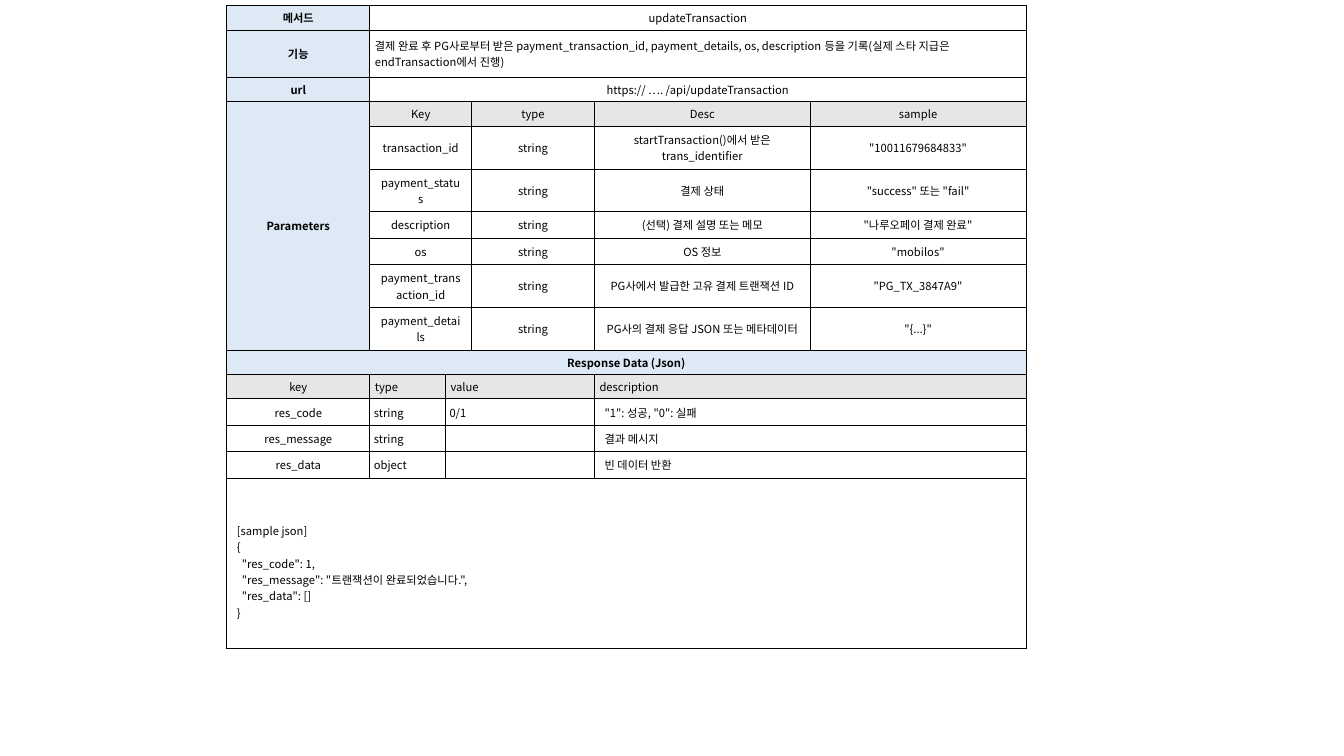
from lxml import etree
from pptx import Presentation
from pptx.dml.color import RGBColor
from pptx.enum import text
from pptx.oxml import ns
from pptx.util import Pt

FONT = "Noto Sans CJK KR"
BLACK = RGBColor(0x00, 0x00, 0x00)
WHITE = RGBColor(0xFF, 0xFF, 0xFF)
BLUE = RGBColor(0xDD, 0xEA, 0xF6)
GRAY = RGBColor(0xE7, 0xE6, 0xE6)
LEFT, CENTER = text.PP_ALIGN.LEFT, text.PP_ALIGN.CENTER

# Cell margins in points: horizontal, vertical
HEADING, VALUE, ROOMY = (3.6, 2.9), (2.9, 1.4), (7.2, 3.6)

COLUMN_WIDTHS = [102.2, 54, 18.7, 87.8, 154.1, 154.1]
ROW_HEIGHTS = [14.4, 33.8] + [14.4] * 11 + [18.7, 14.4, 121.7]

SUMMARY = [
    ("메서드", "updateTransaction", CENTER),
    ("기능", "결제 완료 후 PG사로부터 받은 payment_transaction_id, payment_details, os, "
     "description 등을 기록(실제 스타 지급은 endTransaction에서 진행)", LEFT),
    ("url", "https:// …. /api/updateTransaction", CENTER),
]
PARAMETERS = [
    ("Key", "type", "Desc", "sample"),
    ("transaction_id", "string", "startTransaction()에서 받은 trans_identifier",
     '"10011679684833"'),
    ("payment_status", "string", "결제 상태", '"success" 또는 "fail"'),
    ("description", "string", "(선택) 결제 설명 또는 메모", '"나루오페이 결제 완료"'),
    ("os", "string", "OS 정보", '"mobilos"'),
    ("payment_transaction_id", "string", "PG사에서 발급한 고유 결제 트랜잭션 ID",
     '"PG_TX_3847A9"'),
    ("payment_details", "string", "PG사의 결제 응답 JSON 또는 메타데이터", '"{...}"'),
]
RESPONSE = [
    ("key", "type", "value", "description"),
    ("res_code", "string", "0/1", '"1": 성공, "0": 실패'),
    ("res_message", "string", "", "결과 메시지"),
    ("res_data", "object", "", "빈 데이터 반환"),
]
# Text and whether the line is indented
SAMPLE = [
    ("[sample json]", False),
    ("{", False),
    ('"res_code": 1,', True),
    ('"res_message": "트랜잭션이 완료되었습니다.",', True),
    ('"res_data": []', True),
    ("}", False),
]


def add_borders(cell):
    properties = cell._tc.get_or_add_tcPr()
    for side in ("lnL", "lnR", "lnT", "lnB"):
        line = etree.SubElement(properties, ns.qn(f"a:{side}"), w=str(Pt(0.75)))
        fill = etree.SubElement(line, ns.qn("a:solidFill"))
        etree.SubElement(fill, ns.qn("a:srgbClr"), val=str(BLACK))


def write_paragraph(paragraph, content, align=LEFT, bold=False):
    paragraph.alignment = align
    if not content:
        # An empty cell keeps the small type size
        etree.SubElement(paragraph._p, ns.qn("a:endParaRPr"), sz="800")
        return
    run = paragraph.add_run()
    run.text = content
    for name, value in {"name": FONT, "size": Pt(8), "bold": bold}.items():
        setattr(run.font, name, value)
    run.font.color.rgb = BLACK
    etree.SubElement(run._r.get_or_add_rPr(), ns.qn("a:ea"), typeface=FONT)


def format_cell(cell, fill, margins):
    horizontal, vertical = map(Pt, margins)
    settings = {
        "margin_left": horizontal, "margin_right": horizontal,
        "margin_top": vertical, "margin_bottom": vertical,
        "vertical_anchor": text.MSO_ANCHOR.MIDDLE,
    }
    for name, value in settings.items():
        setattr(cell, name, value)
    cell.fill.solid()
    cell.fill.fore_color.rgb = fill


def write_cell(table, row, first, last, content, fill=WHITE, align=CENTER,
               margins=ROOMY, bold=False, last_row=None):
    cell = table.cell(row, first)
    if last > first or last_row:
        cell.merge(table.cell(last_row or row, last))
    format_cell(cell, fill, margins)
    write_paragraph(cell.text_frame.paragraphs[0], content, align, bold)


def fill_summary(table, top):
    for row, (label, content, align) in enumerate(SUMMARY, top):
        write_cell(table, row, 0, 0, label, BLUE, margins=HEADING, bold=True)
        write_cell(table, row, 1, 5, content, align=align, margins=HEADING)
    return top + len(SUMMARY)


def fill_parameters(table, top):
    end = top + len(PARAMETERS)
    write_cell(table, top, 0, 0, "Parameters", BLUE, margins=HEADING, bold=True,
               last_row=end - 1)
    spans = [(1, 2), (3, 3), (4, 4), (5, 5)]
    for row, entry in enumerate(PARAMETERS, top):
        fill, margins = (GRAY, HEADING) if row == top else (WHITE, ROOMY)
        for (first, last), content in zip(spans, entry):
            write_cell(table, row, first, last, content, fill, margins=margins)
    return end


def fill_response(table, top):
    write_cell(table, top, 0, 5, "Response Data (Json)", BLUE, margins=HEADING, bold=True)
    columns = [(0, 0, CENTER, ROOMY), (1, 1, LEFT, VALUE),
               (2, 3, LEFT, VALUE), (4, 5, LEFT, ROOMY)]
    for row, entry in enumerate(RESPONSE, top + 1):
        is_heading = row == top + 1
        for (first, last, align, margins), content in zip(columns, entry):
            if is_heading:
                margins = HEADING
            elif not content:
                margins = ROOMY
            write_cell(table, row, first, last, content, GRAY if is_heading else WHITE,
                       align, margins)
    return top + 1 + len(RESPONSE)


def fill_sample(table, top):
    cell = table.cell(top, 0)
    cell.merge(table.cell(top, 5))
    format_cell(cell, WHITE, ROOMY)
    cell.margin_top = Pt(15)
    frame = cell.text_frame
    for index, (content, indented) in enumerate(SAMPLE):
        paragraph = frame.add_paragraph() if index else frame.paragraphs[0]
        write_paragraph(paragraph, content)
        if indented:
            paragraph._p.get_or_add_pPr().set("marL", str(Pt(3.6)))


def add_method_table(slide, left, top, width, height):
    table = slide.shapes.add_table(len(ROW_HEIGHTS), len(COLUMN_WIDTHS),
                                   Pt(left), Pt(top), Pt(width), Pt(height)).table
    table.first_row = table.horz_banding = False
    for column, column_width in zip(table.columns, COLUMN_WIDTHS):
        column.width = Pt(column_width)
    for row, row_height in zip(table.rows, ROW_HEIGHTS):
        row.height = Pt(row_height)
    for cell in table.iter_cells():
        add_borders(cell)

    # Sections from top to bottom
    next_row = fill_summary(table, 0)
    next_row = fill_parameters(table, next_row)
    next_row = fill_response(table, next_row)
    fill_sample(table, next_row)


def main():
    presentation = Presentation()
    presentation.slide_width, presentation.slide_height = Pt(960), Pt(540)
    slide = presentation.slides.add_slide(presentation.slide_layouts[6])
    add_method_table(slide, 162, 4, sum(COLUMN_WIDTHS), 414)
    presentation.save("out.pptx")


if __name__ == "__main__":
    main()
